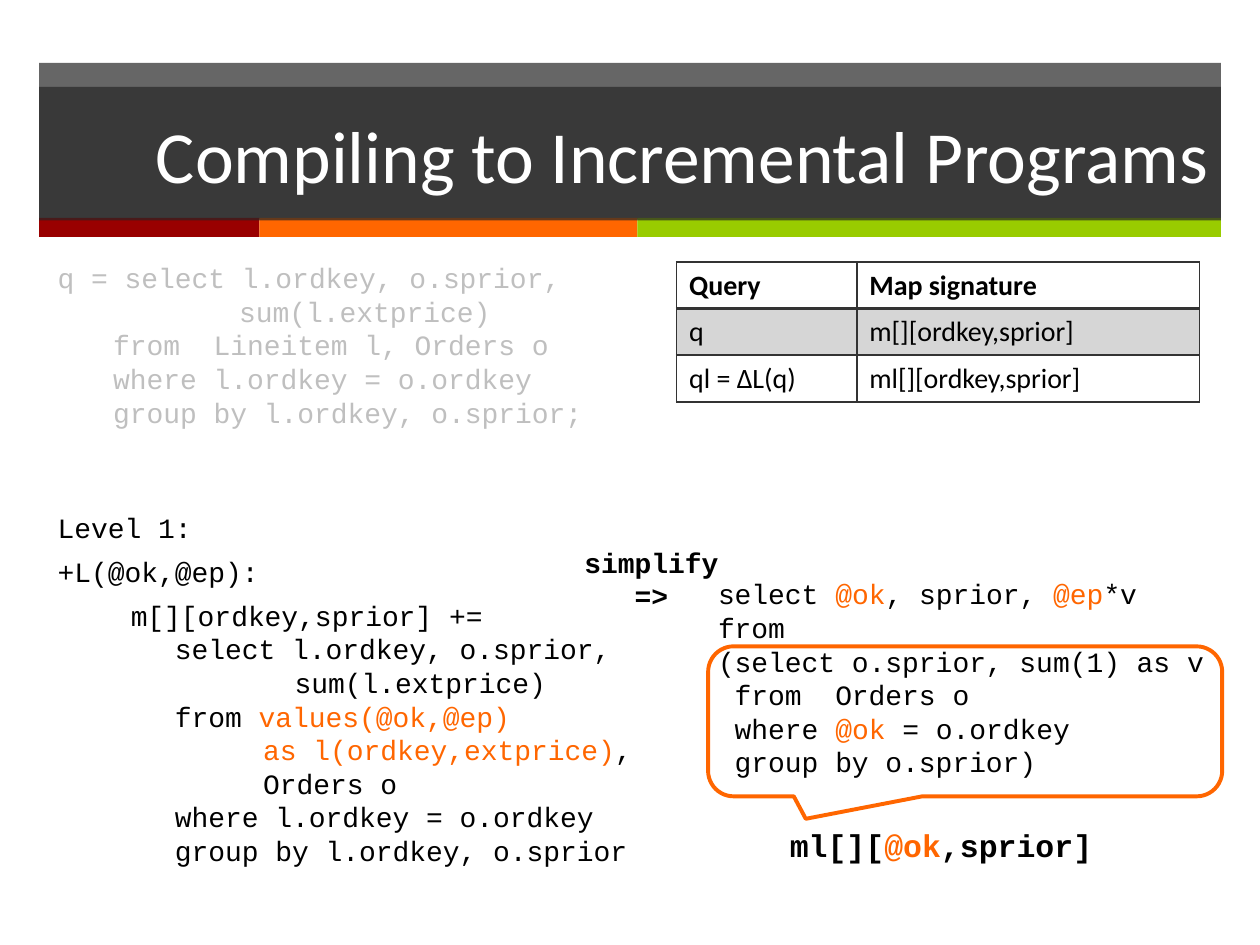
"""Build the slide on compiling queries to incremental programs."""
import dataclasses

import lxml.etree
import pptx
import pptx.dml.color
import pptx.enum.shapes
import pptx.enum.text
import pptx.oxml.ns
import pptx.util

Inches = pptx.util.Inches
Pt = pptx.util.Pt
SHAPES = pptx.enum.shapes.MSO_SHAPE
ALIGN = pptx.enum.text.PP_ALIGN
qn = pptx.oxml.ns.qn

BLACK, WHITE, GRAY = "000000", "FFFFFF", "BFBFBF"
DARK, BORDER = "262626", "333333"
RED, ORANGE, GREEN = "990000", "FF6600", "99CC00"
CODE_FONT, BODY_FONT = "Courier New", "Calibri"


@dataclasses.dataclass
class Line:
    text: str
    indent: float = 0
    before: float = 0


@dataclasses.dataclass
class Band:
    left: float
    top: float
    width: float
    height: float
    color: str
    alpha: int = 100


@dataclasses.dataclass
class CodeBox:
    left: float
    top: float
    width: float
    height: float
    lines: list[Line]
    style: dict = dataclasses.field(default_factory=dict)
    wrap: bool = False


BANDS = [
    Band(0.31, 0.5, 9.38, 1.24, DARK, 70),
    Band(0.31, 1.73, 1.75, 0.15, RED),
    Band(2.06, 1.73, 3, 0.15, ORANGE),
    Band(5.06, 1.73, 4.63, 0.15, GREEN),
]
TITLE_BAND = Band(0.31, 0.69, 9.38, 1.06, DARK, 70)

CODE_BOXES = [
    CodeBox(0.36, 4, 5.94, 2.96, [
        Line("Level 1:"),
        Line("+L(@ok,@ep):", before=6),
        Line("m[][ordkey,sprior] +=", 0.58, 6),
        Line("select l.ordkey, o.sprior,", 0.93),
        Line("sum(l.extprice)", 1.88),
        Line("from |values(@ok,@ep)", 0.93),
        Line("|as l(ordkey,extprice)|,", 1.63),
        Line("Orders o", 1.63),
        Line("where l.ordkey = o.ordkey", 0.93),
        Line("group by l.ordkey, o.sprior", 0.93),
    ], wrap=True),
    CodeBox(0.36, 2.02, 7.88, 1.45, [
        Line("q = select l.ordkey, o.sprior,"),
        Line("sum(l.extprice)", 1.44),
        Line("from  Lineitem l, Orders o", 0.44),
        Line("where l.ordkey = o.ordkey", 0.44),
        Line("group by l.ordkey, o.sprior;", 0.44),
    ], {"color": GRAY}, wrap=True),
    CodeBox(5.6, 4.53, 4.11, 1.72, [
        Line("select |@ok|, sprior, |@ep|*v"),
        Line("from"),
        Line("(select o.sprior, sum(1) as v"),
        Line(" from  Orders o"),
        Line(" where |@ok| = o.ordkey"),
        Line(" group by o.sprior)"),
    ]),
    CodeBox(4.53, 4.28, 1.28, 0.64, [Line("simplify"), Line("=>")],
            {"bold": True, "align": ALIGN.CENTER}),
    CodeBox(6.17, 6.51, 2.64, 0.4, [Line("ml[][|@ok|,sprior]")],
            {"bold": True, "size": 18}),
]

SIGNATURES = [
    ("Query", "Map signature"),
    ("q", "m[][ordkey,sprior]"),
    ("ql = ∆L(q)", "ml[][ordkey,sprior]"),
]


def rgb(color: str):
    """Turn a hex string into a colour."""
    return pptx.dml.color.RGBColor.from_string(color)


def write(frame, lines: list[Line], *, size=16, font=CODE_FONT, color=BLACK,
          bold=False, align=ALIGN.LEFT) -> None:
    """Write lines in which every second part between bars is orange."""
    for number, line in enumerate(lines):
        paragraph = frame.add_paragraph() if number else frame.paragraphs[0]
        paragraph.alignment = align
        paragraph.space_before = Pt(line.before)
        if line.indent:
            paragraph._p.get_or_add_pPr().set("marL", str(Inches(line.indent)))
        for part, text in enumerate(line.text.split("|")):
            if not text:
                continue
            run = paragraph.add_run()
            run.text = text
            run.font.size, run.font.name, run.font.bold = Pt(size), font, bold
            run.font.color.rgb = rgb(ORANGE if part % 2 else color)


def draw_band(slide, band: Band):
    """Draw a filled rectangle without outline."""
    shape = slide.shapes.add_shape(
        SHAPES.RECTANGLE, Inches(band.left), Inches(band.top),
        Inches(band.width), Inches(band.height))
    shape.shadow.inherit = False
    shape.line.fill.background()
    shape.fill.solid()
    shape.fill.fore_color.rgb = rgb(band.color)
    if band.alpha < 100:
        tint = shape._element.spPr.find(qn("a:solidFill"))[0]
        lxml.etree.SubElement(tint, qn("a:alpha"), val=str(band.alpha * 1000))
    return shape


def draw_code(slide, box: CodeBox) -> None:
    """Draw a text box of code lines."""
    frame = slide.shapes.add_textbox(
        Inches(box.left), Inches(box.top),
        Inches(box.width), Inches(box.height)).text_frame
    frame.word_wrap = box.wrap
    write(frame, box.lines, **box.style)


def set_borders(cell, bottom: float) -> None:
    """Line all sides of a cell, the bottom one with its own width."""
    properties = cell._tc.get_or_add_tcPr()
    widths = {"lnL": 1, "lnR": 1, "lnT": 1, "lnB": bottom}
    for place, (side, width) in enumerate(widths.items()):
        border = lxml.etree.Element(qn(f"a:{side}"), w=str(Pt(width)))
        fill = lxml.etree.SubElement(border, qn("a:solidFill"))
        lxml.etree.SubElement(fill, qn("a:srgbClr"), val=BORDER)
        properties.insert(place, border)


def draw_signatures(slide) -> None:
    """Draw the table of queries and map signatures."""
    table = slide.shapes.add_table(
        len(SIGNATURES), 2, Inches(5.37), Inches(2.08),
        Inches(4.15), Inches(1.11)).table
    for column, width in zip(table.columns, (1.43, 2.72)):
        column.width = Inches(width)
    for row, texts in enumerate(SIGNATURES):
        for column, text in enumerate(texts):
            cell = table.cell(row, column)
            cell.fill.solid()
            cell.fill.fore_color.rgb = rgb("D6D6D6" if row == 1 else WHITE)
            write(cell.text_frame, [Line(text)], font=BODY_FONT, bold=row == 0)
            set_borders(cell, 1 if row else 2)


def draw_callout(slide) -> None:
    """Draw the outlined callout around the inner query."""
    callout = slide.shapes.add_shape(
        SHAPES.ROUNDED_RECTANGULAR_CALLOUT,
        Inches(5.62), Inches(5.13), Inches(4.08), Inches(1.19))
    callout.shadow.inherit = False
    callout.fill.background()
    callout.line.color.rgb = rgb(ORANGE)
    callout.line.width = Pt(2.25)
    for place, value in enumerate((-0.31, 0.65, 0.17)):
        callout.adjustments[place] = value


def main() -> None:
    """Build and save the slide."""
    deck = pptx.Presentation()
    deck.slide_width, deck.slide_height = Inches(10), Inches(7.5)
    slide = deck.slides.add_slide(deck.slide_layouts[6])
    for band in BANDS:
        draw_band(slide, band)
    title = draw_band(slide, TITLE_BAND).text_frame
    title.vertical_anchor = pptx.enum.text.MSO_ANCHOR.MIDDLE
    write(title, [Line("Compiling to Incremental Programs")],
          size=42, font=BODY_FONT, color=WHITE, align=ALIGN.RIGHT)
    for box in CODE_BOXES:
        draw_code(slide, box)
    draw_signatures(slide)
    draw_callout(slide)
    deck.save("out.pptx")


if __name__ == "__main__":
    main()
